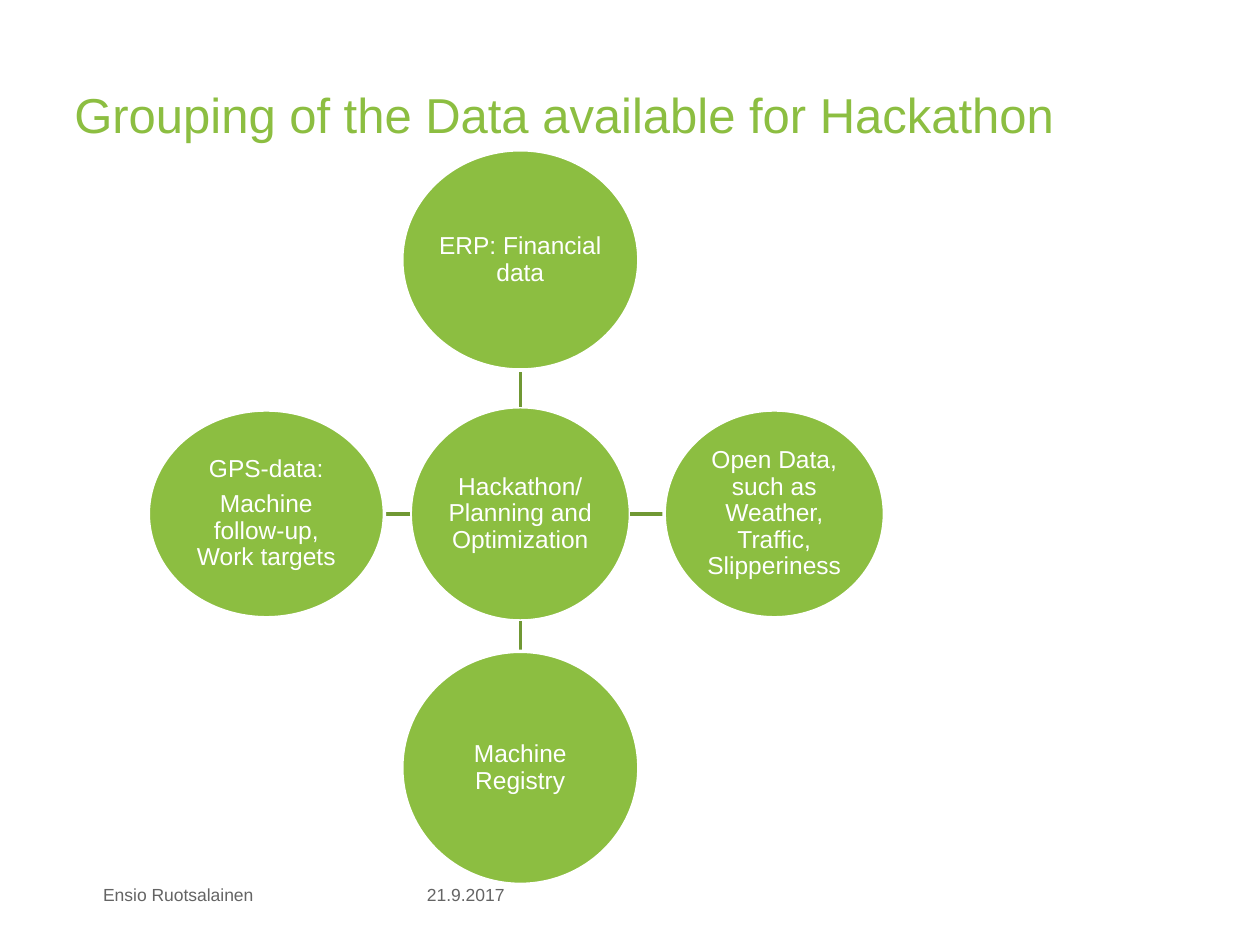
from dataclasses import dataclass

from lxml.etree import SubElement
from pptx import Presentation
from pptx.dml.color import RGBColor
from pptx.enum.shapes import MSO_CONNECTOR, MSO_SHAPE
from pptx.enum.text import MSO_ANCHOR as Anchor, PP_ALIGN as Align
from pptx.oxml.ns import qn
from pptx.util import Cm, Pt

GREEN = RGBColor(0x8C, 0xBE, 0x41)
DARK_GREEN = RGBColor(0x70, 0x98, 0x34)
GREY = RGBColor(0x64, 0x64, 0x64)
WHITE = RGBColor(0xFF, 0xFF, 0xFF)
FONT = "Arial"

# Centre of the diagram and distance from hub to satellites, in cm
CENTER_X, CENTER_Y = 10.49, 10.36
DISTANCE = 5.12


@dataclass(frozen=True)
class Circle:
    text: str
    width: float
    height: float
    step_x: int = 0
    step_y: int = 0

    @property
    def x(self) -> float:
        return CENTER_X + self.step_x * DISTANCE

    @property
    def y(self) -> float:
        return CENTER_Y + self.step_y * DISTANCE


@dataclass(frozen=True)
class FooterText:
    text: str
    left: float
    width: float
    inset_right: float
    align: Align


HUB = Circle("Hackathon/ Planning and Optimization", 4.44, 4.32)
SATELLITES = [
    Circle("ERP: Financial data", 4.78, 4.44, step_y=-1),
    Circle("Open Data, such as Weather, Traffic, Slipperiness", 4.44, 4.19, step_x=1),
    Circle("Machine Registry", 4.78, 4.7, step_y=1),
    Circle("GPS-data:\nMachine follow-up, Work targets", 4.76, 4.19, step_x=-1),
]
FOOTERS = [
    FooterText("21.9.2017", 7.42, 3.0, 0.25, Align.RIGHT),
    FooterText("Ensio Ruotsalainen", 1.83, 5.51, 0, Align.LEFT),
]


def format_text(text_frame, size: float, color: RGBColor, align: Align) -> None:
    for paragraph in text_frame.paragraphs:
        paragraph.alignment = align
        for run in paragraph.runs:
            run.font.name = FONT
            run.font.size = Pt(size)
            run.font.color.rgb = color


def set_insets(text_frame, left: float, top: float, right: float, bottom: float) -> None:
    text_frame.margin_left, text_frame.margin_top = Cm(left), Cm(top)
    text_frame.margin_right, text_frame.margin_bottom = Cm(right), Cm(bottom)


def add_title(slide, text: str) -> None:
    title = slide.shapes.title
    title.left, title.top = Cm(1.5), Cm(1.7)
    title.width, title.height = Cm(22.4), Cm(2.49)
    text_frame = title.text_frame
    text_frame.text = text
    text_frame.vertical_anchor = Anchor.TOP
    set_insets(text_frame, 0, 0, 0, 0)
    format_text(text_frame, 28, GREEN, Align.LEFT)


def add_circle(slide, circle: Circle) -> None:
    shape = slide.shapes.add_shape(
        MSO_SHAPE.OVAL,
        Cm(circle.x - circle.width / 2), Cm(circle.y - circle.height / 2),
        Cm(circle.width), Cm(circle.height),
    )
    shape.shadow.inherit = False
    shape.fill.solid()
    shape.fill.fore_color.rgb = GREEN
    shape.line.color.rgb = WHITE
    shape.line.width = Pt(2)
    text_frame = shape.text_frame
    text_frame.text = circle.text
    text_frame.word_wrap = True
    text_frame.vertical_anchor = Anchor.MIDDLE
    set_insets(text_frame, 0.03, 0.03, 0.03, 0.03)
    format_text(text_frame, 14, WHITE, Align.CENTER)
    for paragraph in text_frame.paragraphs:
        paragraph.line_spacing = 0.9
        paragraph.space_after = Pt(4.9)


def add_spoke(slide, hub: Circle, satellite: Circle) -> None:
    """Line from the hub's edge to the facing edge of the satellite."""
    step_x, step_y = satellite.step_x, satellite.step_y
    connector = slide.shapes.add_connector(
        MSO_CONNECTOR.STRAIGHT,
        Cm(hub.x + step_x * hub.width / 2),
        Cm(hub.y + step_y * hub.height / 2),
        Cm(satellite.x - step_x * satellite.width / 2),
        Cm(satellite.y - step_y * satellite.height / 2),
    )
    connector.line.color.rgb = DARK_GREEN
    connector.line.width = Pt(2)
    SubElement(connector._element.spPr, qn("a:effectLst"))


def add_footer(slide, footer: FooterText) -> None:
    box = slide.shapes.add_textbox(Cm(footer.left), Cm(17.53), Cm(footer.width), Cm(0.99))
    text_frame = box.text_frame
    text_frame.text = footer.text
    text_frame.word_wrap = True
    text_frame.vertical_anchor = Anchor.MIDDLE
    set_insets(text_frame, 0.25, 0.13, footer.inset_right, 0.13)
    format_text(text_frame, 10, GREY, footer.align)


def main() -> None:
    presentation = Presentation()
    presentation.slide_width, presentation.slide_height = Cm(25.4), Cm(19.05)
    slide = presentation.slides.add_slide(presentation.slide_layouts[5])

    add_title(slide, "Grouping of the Data available for Hackathon")

    # Hub with four satellites
    add_circle(slide, HUB)
    for satellite in SATELLITES:
        add_spoke(slide, HUB, satellite)
        add_circle(slide, satellite)

    # Footer
    for footer in FOOTERS:
        add_footer(slide, footer)

    presentation.save("out.pptx")


if __name__ == "__main__":
    main()
